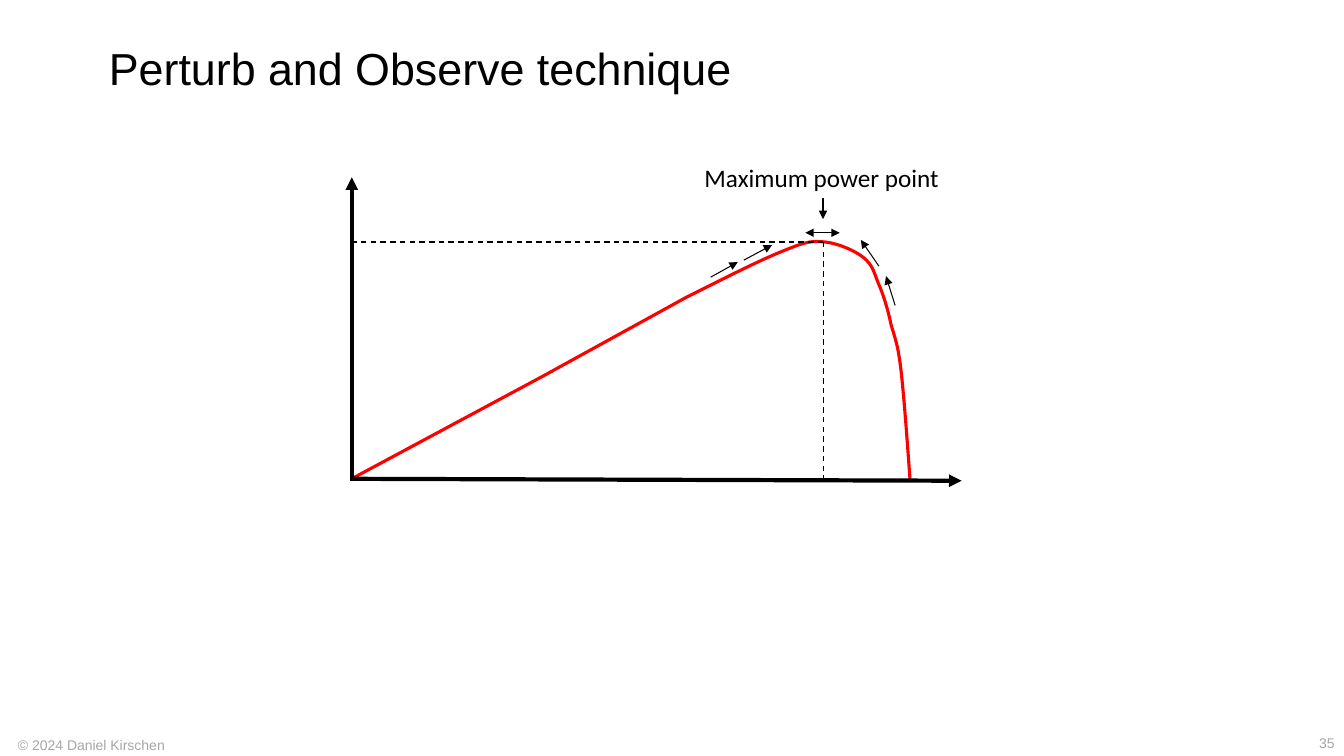
"""Build the slide on the Perturb and Observe technique."""
from dataclasses import dataclass

from lxml.etree import SubElement
from pptx import Presentation
from pptx.dml.color import RGBColor
from pptx.enum.dml import MSO_LINE_DASH_STYLE as Dash
from pptx.enum.shapes import MSO_CONNECTOR as Connector
from pptx.enum.text import MSO_ANCHOR as Anchor, MSO_AUTO_SIZE as AutoSize, PP_ALIGN as Align
from pptx.oxml.ns import qn
from pptx.util import Pt

BLACK = RGBColor(0x00, 0x00, 0x00)
RED = RGBColor(0xFF, 0x00, 0x00)
GREY = RGBColor(0xA6, 0xA6, 0xA6)
BEZIER_STEPS = 16

Point = tuple[float, float]


@dataclass(frozen=True)
class Label:
    text: str
    left: float
    top: float
    width: float
    height: float
    size: float
    font: str
    color: RGBColor
    align: Align = Align.LEFT
    anchor: Anchor = Anchor.TOP
    wrap: bool = True


@dataclass(frozen=True)
class Line:
    start: Point
    end: Point
    weight: float
    dashed: bool = False
    head: bool = False
    tail: bool = True


TITLE = Label("Perturb and Observe technique", 70.56, 29.5, 843.1, 51.8, 32, "Arial", BLACK)
COPYRIGHT = Label("© 2024 Daniel Kirschen", 5.76, 522.7, 239, 19.4, 10, "Arial", GREY)
PAGE_NUMBER = Label("35", 920.9, 521.3, 39.6, 19.4, 10, "Arial", GREY,
                    Align.RIGHT, Anchor.MIDDLE)
PEAK_LABEL = Label("Maximum power point", 496.1, 112.3, 183.6, 28.8, 18, "Calibri", BLACK,
                   wrap=False)

PEAK = (588.2, 172.8)
PEAK_POINTER = Line((587.9, 141.1), (587.9, 156.5), 1.5)
AXES = [
    Line((250.6, 342), (686.9, 343.4), 3),
    Line((251.3, 343.4), (251.3, 126.7), 3),
]
PEAK_GUIDES = [
    Line(PEAK, (252, 172.8), 1, dashed=True, tail=False),
    Line(PEAK, (588.2, 342), 1, dashed=True, tail=False),
]
PERTURBATIONS = [
    Line((507.6, 198), (527, 187.2), 0.75),
    Line((531.4, 185.8), (551.5, 175), 0.75),
    Line((639.4, 218.2), (632.9, 197.3), 0.75),
    Line((627.8, 190.1), (614.9, 171.4), 0.75),
    Line((599.8, 166.3), (575.3, 166.3), 0.75, head=True),
]

RISING_LINE = [(251.3, 342), (388.1, 268.6), (490.3, 212.4)]
POWER_BENDS = [
    ((519.1, 198), (542.9, 185.8), (559.4, 179.3)),
    ((575.3, 172.8), (578.9, 172.1), PEAK),
    ((597.6, 173.5), (609.8, 178.6), (616.3, 183.6)),
    ((622.8, 188.6), (624.2, 193.7), (627.1, 201.6)),
    ((630.7, 209.5), (634.3, 221), (636.5, 231.8)),
    ((639.4, 241.9), (641.5, 246.2), (643.7, 265)),
    ((645.8, 283.7), (648, 313.9), (650.2, 344.2)),
]


def bezier(points: tuple[Point, Point, Point, Point], t: float) -> Point:
    weights = ((1 - t) ** 3, 3 * t * (1 - t) ** 2, 3 * t ** 2 * (1 - t), t ** 3)
    return (sum(w * x for w, (x, _) in zip(weights, points)),
            sum(w * y for w, (_, y) in zip(weights, points)))


def power_points() -> list[Point]:
    points = list(RISING_LINE)
    for bend in POWER_BENDS:
        controls = (points[-1], *bend)
        points += [bezier(controls, step / BEZIER_STEPS) for step in range(1, BEZIER_STEPS + 1)]
    return points


def write_label(shape, label: Label) -> None:
    shape.left, shape.top = Pt(label.left), Pt(label.top)
    shape.width, shape.height = Pt(label.width), Pt(label.height)
    frame = shape.text_frame
    frame.text = label.text
    frame.word_wrap = label.wrap
    frame.auto_size = AutoSize.NONE
    frame.vertical_anchor = label.anchor
    paragraph = frame.paragraphs[0]
    paragraph.alignment = label.align
    font = paragraph.runs[0].font
    font.name, font.size = label.font, Pt(label.size)
    font.color.rgb = label.color


def add_label(slide, label: Label):
    shape = slide.shapes.add_textbox(0, 0, 0, 0)
    write_label(shape, label)
    return shape


def add_line(slide, line: Line):
    connector = slide.shapes.add_connector(
        Connector.STRAIGHT, *(Pt(value) for value in line.start + line.end))
    connector.line.color.rgb = BLACK
    connector.line.width = Pt(line.weight)
    if line.dashed:
        connector.line.dash_style = Dash.DASH
    outline = connector.line._get_or_add_ln()
    for tag, shown in (("a:headEnd", line.head), ("a:tailEnd", line.tail)):
        if shown:
            SubElement(outline, qn(tag), type="triangle")
    SubElement(connector._element.spPr, qn("a:effectLst"))
    return connector


def add_power_curve(slide) -> None:
    first, *rest = [(Pt(x), Pt(y)) for x, y in power_points()]
    builder = slide.shapes.build_freeform(*first)
    builder.add_line_segments(rest, close=False)
    curve = builder.convert_to_shape()
    curve.shadow.inherit = False
    curve.fill.background()
    curve.line.color.rgb = RED
    curve.line.width = Pt(2.25)


def main() -> None:
    deck = Presentation()
    deck.slide_width, deck.slide_height = Pt(960), Pt(540)
    slide = deck.slides.add_slide(deck.slide_layouts[5])
    write_label(slide.shapes.title, TITLE)
    slide.shapes.title.text_frame.paragraphs[0].line_spacing = 0.9
    add_label(slide, COPYRIGHT)
    add_label(slide, PAGE_NUMBER)
    add_power_curve(slide)
    for axis in AXES:
        add_line(slide, axis)
    peak_label = add_label(slide, PEAK_LABEL)
    add_line(slide, PEAK_POINTER).begin_connect(peak_label, 2)
    for line in PEAK_GUIDES + PERTURBATIONS:
        add_line(slide, line)
    deck.save("out.pptx")


if __name__ == "__main__":
    main()
